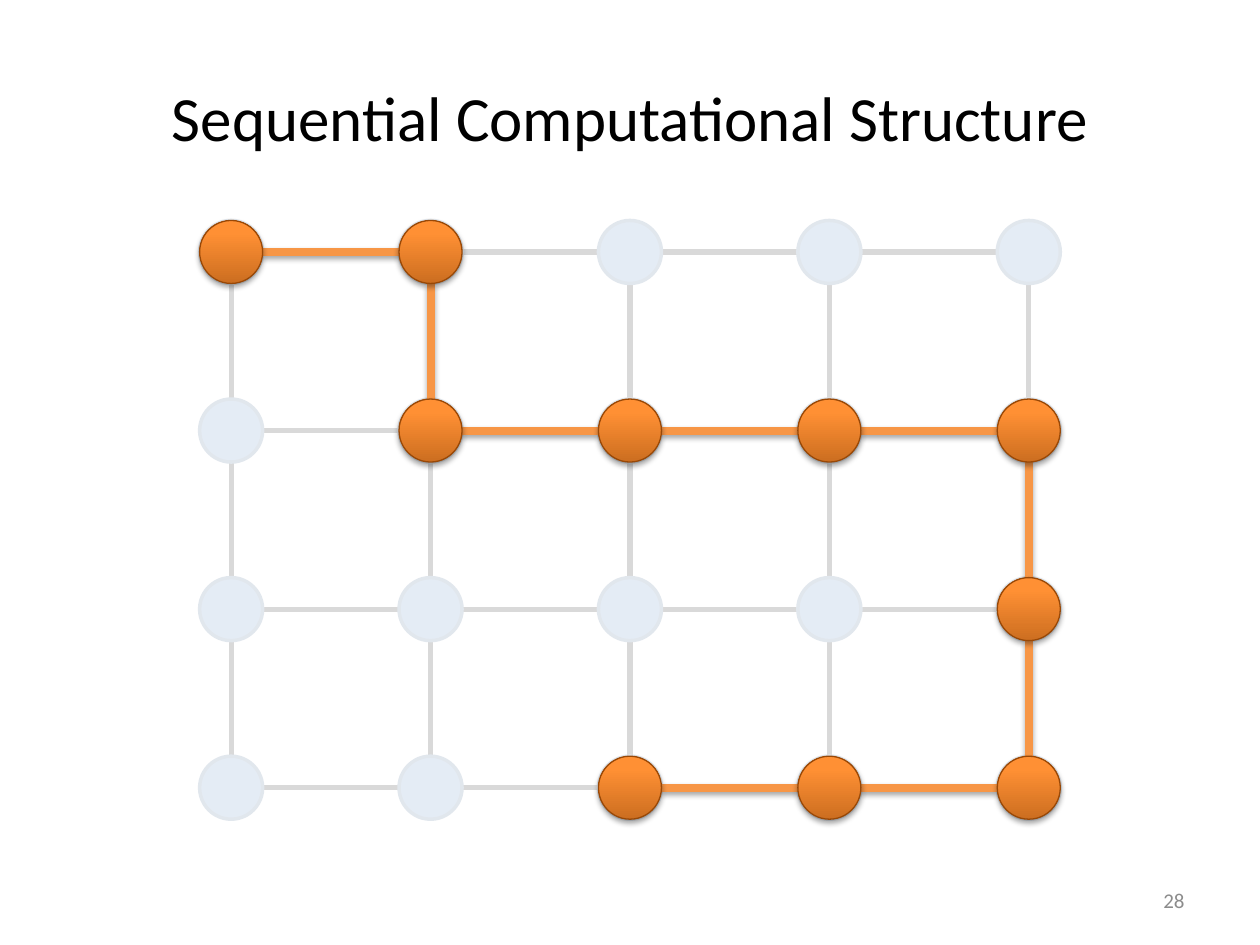
from pptx import Presentation
from pptx.dml.color import RGBColor
from pptx.enum.shapes import MSO_CONNECTOR, MSO_SHAPE
from pptx.enum.text import MSO_ANCHOR, PP_ALIGN
from pptx.oxml import parse_xml
from pptx.oxml.ns import nsdecls, qn
from pptx.util import Cm, Pt

LINE, OVAL, RECT = MSO_CONNECTOR.STRAIGHT, MSO_SHAPE.OVAL, MSO_SHAPE.RECTANGLE
MID, CENTER, RIGHT = MSO_ANCHOR.MIDDLE, PP_ALIGN.CENTER, PP_ALIGN.RIGHT

THEME = {
    "font": "Calibri",
    "title": {"size": 36, "color": "000000"},
    "number": {"size": 12, "color": "8C8C8C"},
    "veil": "FFFFFF",
    "grid": {"line": "000000", "width": 3, "fill": "4F81BD",
             "edge": "3A5F8C", "rim": 2, "glow": False},
    "route": {"line": "F79646", "width": 4.5,
              "fill": ((0, "CC6E20"), (80, "FF9034"), (100, "FF9136")),
              "edge": "984807", "rim": 0.75, "glow": True},
}
SHADOW = ('<a:outerShdw %s blurRad="40000" dist="23000" dir="5400000" rotWithShape="0">'
          '<a:srgbClr val="000000"><a:alpha val="35000"/></a:srgbClr></a:outerShdw>')

# Grid of nodes, in cm
COLS, ROWS = 5, 4
X0, Y0, DX, DY = 4.66, 5.08, 4.02, 3.6
SIZE = 1.27
RAD = SIZE / 2


def write(box, text, *, size, color, align):
    frame = box.text_frame
    frame.word_wrap = True
    frame.vertical_anchor = MID
    para = frame.paragraphs[0]
    para.text = text
    para.alignment = align
    para.font.name = THEME["font"]
    para.font.size = Pt(size)
    para.font.color.rgb = RGBColor.from_string(color)


def draw(links, nodes, style):
    """Draw links between node rims, then the nodes, all in grid steps."""
    parts = []
    for (c1, r1), (c2, r2) in links:
        # Trim each end by one radius along the link
        dx = RAD * ((c2 > c1) - (c2 < c1))
        dy = RAD * ((r2 > r1) - (r2 < r1))
        link = shapes.add_connector(
            LINE, Cm(X0 + c1 * DX + dx), Cm(Y0 + r1 * DY + dy),
            Cm(X0 + c2 * DX - dx), Cm(Y0 + r2 * DY - dy))
        link.line.color.rgb = RGBColor.from_string(style["line"])
        link.line.width = Pt(style["width"])
        link._element.spPr.append(parse_xml("<a:effectLst %s/>" % nsdecls("a")))
        parts.append(link)

    for col, row in nodes:
        node = shapes.add_shape(OVAL, Cm(X0 + col * DX - RAD), Cm(Y0 + row * DY - RAD),
                                Cm(SIZE), Cm(SIZE))
        node.shadow.inherit = False
        node.line.color.rgb = RGBColor.from_string(style["edge"])
        node.line.width = Pt(style["rim"])
        if isinstance(style["fill"], str):
            node.fill.solid()
            node.fill.fore_color.rgb = RGBColor.from_string(style["fill"])
        else:
            node.fill.gradient()
            node.fill.gradient_angle = 90
            stops = node._element.spPr.find(qn("a:gradFill")).find(qn("a:gsLst"))
            for old in list(stops):
                stops.remove(old)
            for pos, color in style["fill"]:
                stops.append(parse_xml(
                    '<a:gs %s pos="%d"><a:srgbClr val="%s"/></a:gs>'
                    % (nsdecls("a"), pos * 1000, color)))
        parts.append(node)

    if style["glow"]:
        for part in parts:
            part._element.spPr.find(qn("a:effectLst")).append(
                parse_xml(SHADOW % nsdecls("a")))


deck = Presentation()
deck.slide_width, deck.slide_height = Cm(25.4), Cm(19.05)
slide = deck.slides.add_slide(deck.slide_layouts[5])
shapes = slide.shapes

# Title
title = shapes.title
title.left, title.top, title.width, title.height = Cm(1.27), Cm(0.76), Cm(22.86), Cm(3.18)
write(title, "Sequential Computational Structure", align=CENTER, **THEME["title"])

# Full grid
grid = [((col, 0), (col, ROWS - 1)) for col in range(COLS)]
grid += [((0, row), (COLS - 1, row)) for row in range(ROWS)]
draw(grid, [(col, row) for row in range(ROWS) for col in range(COLS)], THEME["grid"])

# Veil that fades the grid
veil = shapes.add_shape(RECT, Cm(3.81), Cm(4.23), Cm(17.99), Cm(12.7))
veil.shadow.inherit = False
veil.line.fill.background()
veil.fill.solid()
veil.fill.fore_color.rgb = RGBColor.from_string(THEME["veil"])
tint = veil._element.spPr.find(qn("a:solidFill"))[0]
tint.append(parse_xml('<a:alpha %s val="85000"/>' % nsdecls("a")))

# Route through the grid
route = [(0, 0), (1, 0), (1, 1), (2, 1), (3, 1), (4, 1), (4, 2), (4, 3), (3, 3), (2, 3)]
draw(zip(route, route[1:]), route, THEME["route"])

# Slide number
number = shapes.add_textbox(Cm(18.2), Cm(17.65), Cm(5.93), Cm(1.01))
write(number, "28", align=RIGHT, **THEME["number"])

deck.save("out.pptx")
